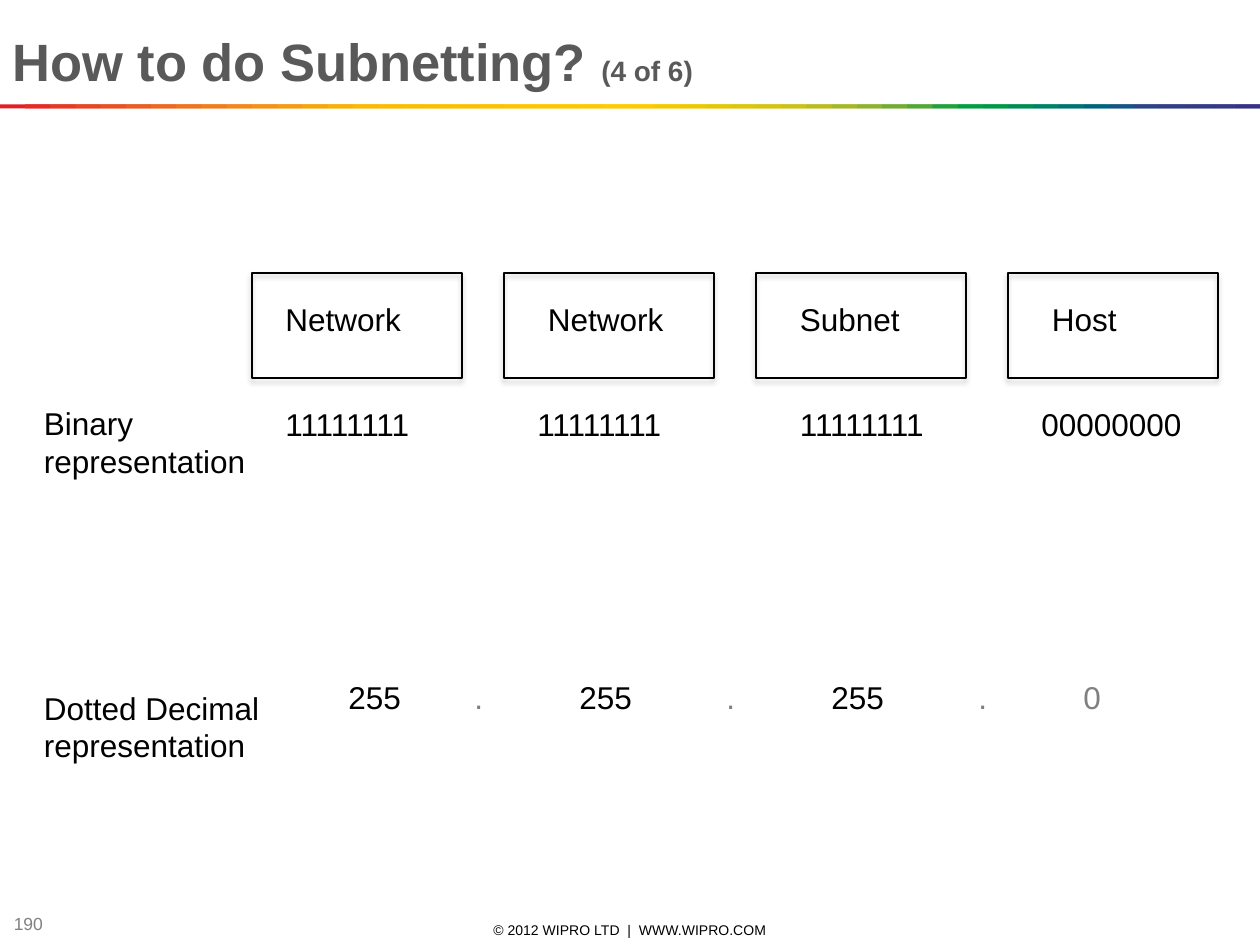
from dataclasses import dataclass

from lxml import etree
from pptx import Presentation
from pptx.dml.color import RGBColor
from pptx.enum.shapes import MSO_SHAPE
from pptx.enum.text import MSO_ANCHOR, PP_ALIGN
from pptx.oxml.ns import qn
from pptx.util import Pt

RECTANGLE = MSO_SHAPE.RECTANGLE
TOP, MIDDLE = MSO_ANCHOR.TOP, MSO_ANCHOR.MIDDLE
LEFT, CENTER = PP_ALIGN.LEFT, PP_ALIGN.CENTER


@dataclass(frozen=True)
class Theme:
    font: str = "Arial"
    ink: str = "000000"
    muted: str = "808080"
    heading: str = "595959"
    title_size: float = 30
    counter_size: float = 16
    body_size: float = 18
    page_size: float = 10
    footer_size: float = 8
    rainbow: tuple = tuple(
        """E31E24 E42C24 E53A24 E74623 E85122 EA5D21 EC691F EE741D EF7E1A F18817
        F39314 F49C0F F6A607 F8B002 FBBA00 FBBB00 FBBD00 FCBF00 FCC000 FCC200
        FDC400 FDC600 FDC700 FEC900 FECB00 FBCB00 F3CA00 ECC800 E4C602 DCC50A
        D5C30E CCC117 B8BC21 A3B829 8CB230 71AD36 51A73B 1DA240 009D43 009846
        008C57 008068 007275 00637F 185384 2E4285 313E85 333B85 353885 393185""".split()
    )


THEME = Theme()
SLIDE_WIDTH, SLIDE_HEIGHT = 720, 540
OCTET_LEFT, OCTET_PITCH = 144, 144
BOX_TOP, BOX_WIDTH, BOX_HEIGHT = 156, 120, 60
NAME_TOP, BITS_TOP, DECIMAL_TOP = 168, 228, 384
LINE_HEIGHT = 29

# Each entry: text, offset from the octet's left edge, width
NAMES = [("Network", 12, 108), ("Network", 18, 84), ("Subnet", 18, 84), ("Host", 18, 66)]
BITS = [("11111111", 12, 96), ("11111111", 12, 102), ("11111111", 18, 90), ("00000000", 12, 102)]
DECIMALS = [("255", 48, 48), ("255", 36, 54), ("255", 36, 54), ("0", 36, 48)]
DOTS = [(".", 120, 18), (".", 120, 24), (".", 120, 24)]


def apply_format(target, values):
    for name, value in values.items():
        setattr(target, name, value)


def add_text(slide, box, runs, anchor=TOP, align=LEFT, **frame_format):
    """Add one paragraph; each run is (text, size, colour, bold)."""
    frame = slide.shapes.add_textbox(*map(Pt, box)).text_frame
    apply_format(frame, {"word_wrap": True, "vertical_anchor": anchor, **frame_format})
    paragraph = frame.paragraphs[0]
    paragraph.alignment = align
    for text, size, colour, bold in runs:
        run = paragraph.add_run()
        run.text = text
        apply_format(run.font, {"name": THEME.font, "size": Pt(size), "bold": bold})
        run.font.color.rgb = RGBColor.from_string(colour)


def add_label(slide, box, text, colour=THEME.ink):
    add_text(slide, box, [(text, THEME.body_size, colour, False)])


def add_soft_shadow(shape):
    shape.shadow.inherit = False
    effects = shape._element.spPr.find(qn("a:effectLst"))
    shadow = etree.SubElement(effects, qn("a:outerShdw"), blurRad=str(Pt(3.1)),
                              dist=str(Pt(1.8)), dir="5400000", rotWithShape="0")
    colour = etree.SubElement(shadow, qn("a:srgbClr"), val=THEME.ink)
    etree.SubElement(colour, qn("a:alpha"), val="35000")


def add_octet_box(slide, left):
    box = slide.shapes.add_shape(
        RECTANGLE, Pt(left), Pt(BOX_TOP), Pt(BOX_WIDTH), Pt(BOX_HEIGHT))
    box.fill.background()
    box.line.color.rgb = RGBColor.from_string(THEME.ink)
    box.line.width = Pt(0.75)
    add_soft_shadow(box)


def add_octet_row(slide, top, entries, colour_of):
    for index, (text, offset, width) in enumerate(entries):
        left = OCTET_LEFT + index * OCTET_PITCH + offset
        add_label(slide, (left, top, width, LINE_HEIGHT), text, colour_of(text))


def add_rainbow_rule(slide):
    """Draw overlapping bands, each twice as wide as its visible step."""
    step = SLIDE_WIDTH / len(THEME.rainbow)
    for index, colour in enumerate(THEME.rainbow):
        left = index * step
        width = min(2 * step, SLIDE_WIDTH - left)
        band = slide.shapes.add_shape(RECTANGLE, Pt(left), Pt(59.6), Pt(width), Pt(2.3))
        band.shadow.inherit = False
        band.fill.solid()
        band.fill.fore_color.rgb = RGBColor.from_string(colour)
        band.line.fill.background()


def add_page_frame(slide):
    add_text(slide, (246, 525.6, 228, 11.5),
             [("© 2012 WIPRO LTD  |  WWW.WIPRO.COM", THEME.footer_size, THEME.ink, False)],
             MIDDLE, CENTER, margin_top=0, margin_bottom=0)
    add_text(slide, (0.8, 520, 54, 15),
             [("190", THEME.page_size, THEME.muted, False)],
             MIDDLE, margin_top=0, margin_bottom=0)
    add_rainbow_rule(slide)
    add_text(slide, (0, 10.8, SLIDE_WIDTH, 44),
             [("How to do Subnetting? ", THEME.title_size, THEME.heading, True),
              ("(4 of 6)", THEME.counter_size, THEME.heading, True)],
             margin_top=Pt(6))


def main():
    presentation = Presentation()
    apply_format(presentation,
                 {"slide_width": Pt(SLIDE_WIDTH), "slide_height": Pt(SLIDE_HEIGHT)})
    slide = presentation.slides.add_slide(presentation.slide_layouts[6])

    add_page_frame(slide)
    for index in range(len(NAMES)):
        add_octet_box(slide, OCTET_LEFT + index * OCTET_PITCH)
    for top, entries in ((NAME_TOP, NAMES), (BITS_TOP, BITS),
                         (DECIMAL_TOP, DECIMALS), (DECIMAL_TOP, DOTS)):
        add_octet_row(slide, top, entries,
                      lambda text: THEME.muted if text in (".", "0") else THEME.ink)
    add_label(slide, (18, 227.5, 138, 51), "Binary representation")
    add_label(slide, (18, 390, 156, 51), "Dotted Decimal representation")

    presentation.save("out.pptx")


if __name__ == "__main__":
    main()
